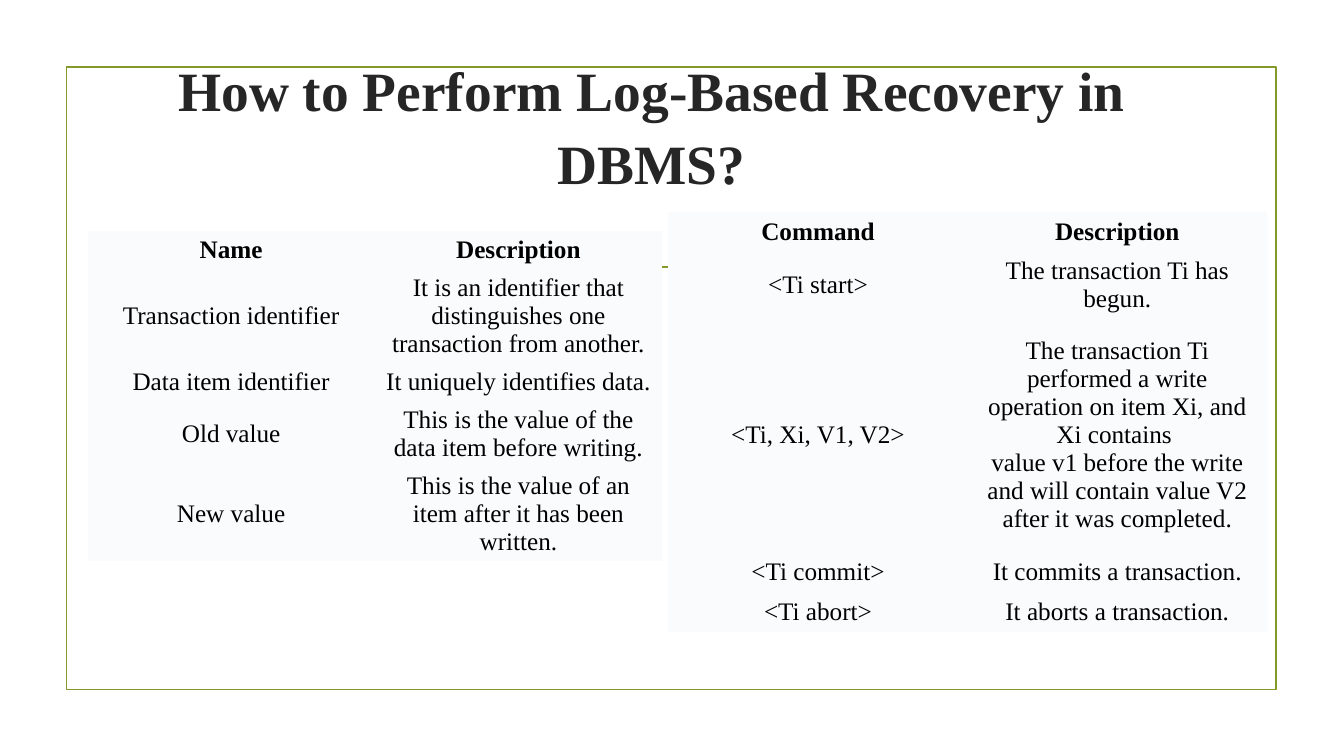
from dataclasses import dataclass

from pptx import Presentation
from pptx.dml.color import RGBColor
from pptx.enum.shapes import MSO_CONNECTOR, MSO_SHAPE
from pptx.enum.text import MSO_ANCHOR, MSO_AUTO_SIZE, PP_ALIGN
from pptx.oxml.ns import qn
from pptx.util import Pt


@dataclass(frozen=True)
class Theme:
    font: str = "Times New Roman"
    title_size: float = 39.6
    table_size: float = 18
    line_width: float = 1.25
    accent: RGBColor = RGBColor(0x83, 0x99, 0x2A)
    title: RGBColor = RGBColor(0x26, 0x26, 0x26)
    text: RGBColor = RGBColor(0, 0, 0)
    cell: RGBColor = RGBColor(0xFA, 0xFB, 0xFC)


@dataclass(frozen=True)
class Box:
    left: float
    top: float
    width: float
    height: float


THEME = Theme()
PLAIN_TABLE_STYLE = "{2D5ABB26-0587-4C30-8999-92F81FD0307C}"

LOG_FIELDS = [
    ("Name", "Description"),
    ("Transaction identifier",
     "It is an identifier that distinguishes one transaction from another."),
    ("Data item identifier", "It uniquely identifies data."),
    ("Old value", "This is the value of the data item before writing."),
    ("New value", "This is the value of an item after it has been written."),
]
LOG_COMMANDS = [
    ("Command", "Description"),
    ("<Ti start>", "The transaction Ti has begun."),
    ("<Ti, Xi, V1, V2>",
     "The transaction Ti performed a write operation on item Xi, and Xi contains \n"
     "value v1 before the write and will contain value V2 after it was completed."),
    ("<Ti commit>", "It commits a transaction."),
    ("<Ti abort>", "It aborts a transaction."),
]


def format_text(frame, size, color, bold):
    for para in frame.paragraphs:
        para.alignment = PP_ALIGN.CENTER
        for span in para.runs:
            span.font.name = THEME.font
            span.font.size = Pt(size)
            span.font.bold = bold
            span.font.color.rgb = color


def add_frame(page, box):
    border = page.shapes.add_shape(
        MSO_SHAPE.RECTANGLE, Pt(box.left), Pt(box.top), Pt(box.width), Pt(box.height))
    border.shadow.inherit = False
    border.fill.background()
    rule_top = Pt(box.top + 142.5)
    rule = page.shapes.add_connector(
        MSO_CONNECTOR.STRAIGHT, Pt(box.left + 62.5), rule_top,
        Pt(box.left + box.width - 61), rule_top)
    properties = rule.element.find(qn("p:spPr"))
    properties.append(properties.makeelement(qn("a:effectLst"), {}))
    for outline in (border.line, rule.line):
        outline.color.rgb = THEME.accent
        outline.width = Pt(THEME.line_width)


def add_title(page, box, text):
    title = page.shapes.title
    title.left, title.top = Pt(box.left), Pt(box.top)
    title.width, title.height = Pt(box.width), Pt(box.height)
    frame = title.text_frame
    frame.text = text
    frame.word_wrap = True
    frame.auto_size = MSO_AUTO_SIZE.NONE
    frame.vertical_anchor = MSO_ANCHOR.MIDDLE
    frame.paragraphs[0].line_spacing = 1.1
    format_text(frame, THEME.title_size, THEME.title, True)


def add_text_table(page, box, rows, heights):
    columns = len(rows[0])
    table = page.shapes.add_table(
        len(rows), columns, Pt(box.left), Pt(box.top), Pt(box.width), Pt(box.height)).table
    table.first_row = False
    table.horz_banding = False
    table._tbl.tblPr.find(qn("a:tableStyleId")).text = PLAIN_TABLE_STYLE
    for column in table.columns:
        column.width = Pt(box.width / columns)
    for row_index, (row, height) in enumerate(zip(rows, heights)):
        table.rows[row_index].height = Pt(height)
        for column_index, text in enumerate(row):
            cell = table.cell(row_index, column_index)
            cell.text_frame.text = text
            cell.vertical_anchor = MSO_ANCHOR.MIDDLE
            cell.fill.solid()
            cell.fill.fore_color.rgb = THEME.cell
            format_text(cell.text_frame, THEME.table_size, THEME.text, row_index == 0)


def add_recovery_slide(deck):
    page = deck.slides.add_slide(deck.slide_layouts[5])
    add_frame(page, Box(47.5, 48, 864, 444.5))
    add_title(page, Box(62.5, 62.5, 806, 103),
              "How to Perform Log-Based Recovery in DBMS?\v")
    add_text_table(page, Box(62.5, 165, 410.4, 235), LOG_FIELDS, [27, 67, 27, 47, 67])
    add_text_table(page, Box(477.4, 151.2, 427.6, 299.5), LOG_COMMANDS,
                   [28.8, 47, 167, 28.8, 28.8])


def main():
    deck = Presentation()
    deck.slide_width, deck.slide_height = Pt(960), Pt(540)
    add_recovery_slide(deck)
    deck.save("out.pptx")


if __name__ == "__main__":
    main()
